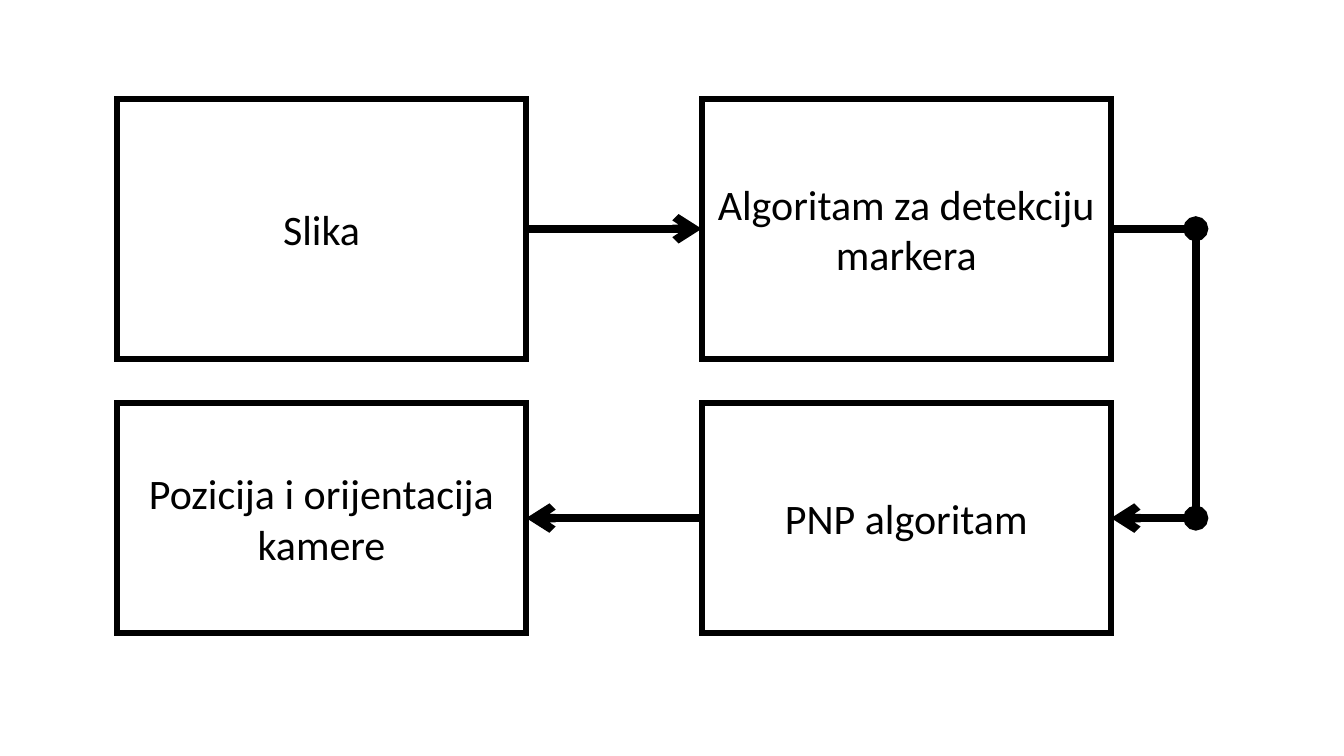
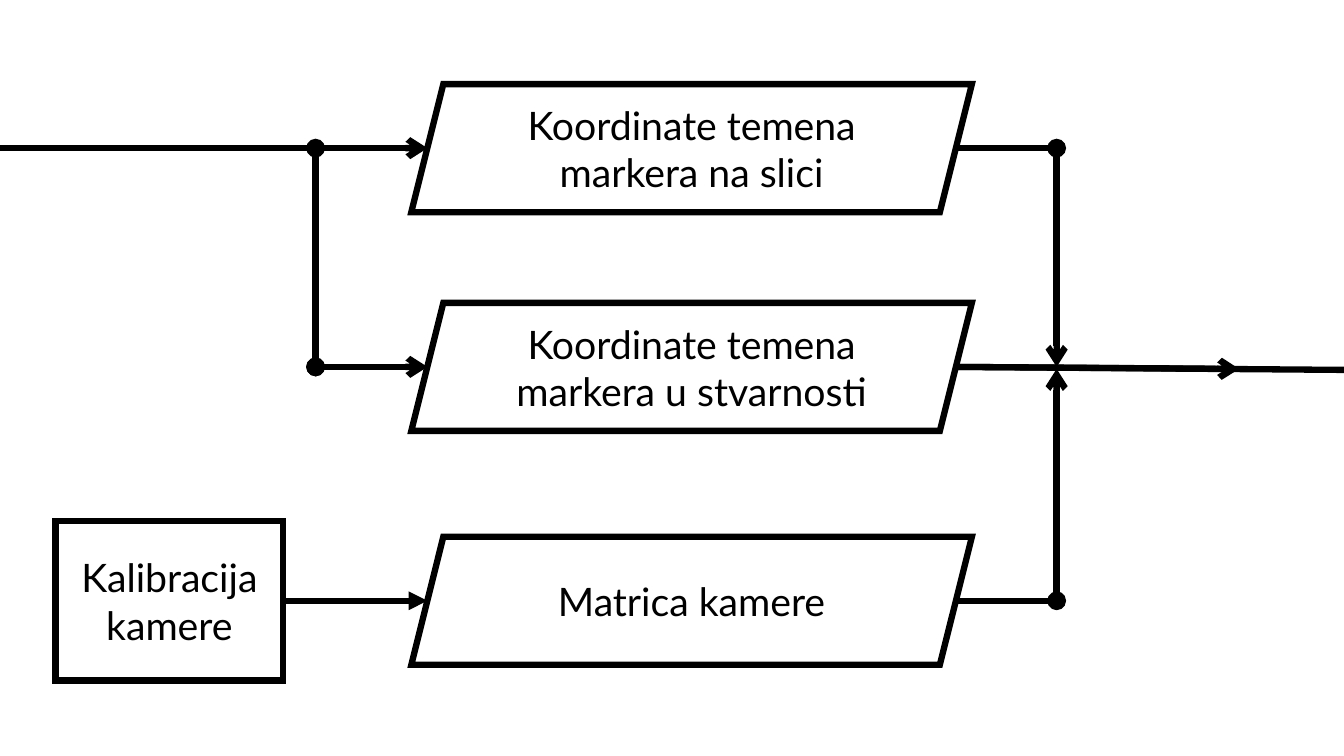
from dataclasses import dataclass

from pptx import Presentation
from pptx.dml.color import RGBColor
from pptx.enum.shapes import MSO_CONNECTOR, MSO_SHAPE
from pptx.enum.text import MSO_ANCHOR, PP_ALIGN
from pptx.oxml.ns import qn
from pptx.util import Inches, Pt
from lxml import etree

RECTANGLE = MSO_SHAPE.RECTANGLE
PARALLELOGRAM = MSO_SHAPE.PARALLELOGRAM
STRAIGHT = MSO_CONNECTOR.STRAIGHT
MIDDLE = MSO_ANCHOR.MIDDLE
CENTER = PP_ALIGN.CENTER
LEFT_SIDE, RIGHT_SIDE = 1, 3
BLANK_LAYOUT = 6


@dataclass(frozen=True)
class Theme:
    ink: RGBColor = RGBColor(0, 0, 0)
    outline: float = 4.5
    overview_font: str = "Calibri"
    overview_size: int = 30
    overview_arrow: float = 6
    detail_font: str = "Lato"
    detail_size: int = 28
    detail_arrow: float = 4.5


THEME = Theme()
SLIDE_WIDTH, SLIDE_HEIGHT = 13.33, 7.5


def format_line(line, width):
    line.color.rgb = THEME.ink
    line.width = Pt(width)


def add_box(slide, kind, bounds, text, font_name, font_size):
    """Add an outlined, unfilled shape with centred text."""
    shape = slide.shapes.add_shape(kind, *map(Inches, bounds))
    shape.shadow.inherit = False
    shape.fill.background()
    format_line(shape.line, THEME.outline)
    outline = shape.line.fill._xPr
    etree.SubElement(outline, qn("a:miter"), lim="800000")

    frame = shape.text_frame
    frame.word_wrap = True
    frame.vertical_anchor = MIDDLE
    frame.text = text
    paragraph = frame.paragraphs[0]
    paragraph.alignment = CENTER
    font = paragraph.runs[0].font
    font.name = font_name
    font.size = Pt(font_size)
    font.color.rgb = THEME.ink
    return shape


def add_line(slide, start, end, width, head=None, tail=None):
    """Draw a line; each end is an (x, y) point or a (shape, side) joint."""
    joined = [not isinstance(place[0], (int, float)) for place in (start, end)]
    points = [(0, 0) if joint else place for joint, place in zip(joined, (start, end))]
    connector = slide.shapes.add_connector(
        STRAIGHT, *(Inches(value) for point in points for value in point))
    if joined[0]:
        connector.begin_connect(*start)
    if joined[1]:
        connector.end_connect(*end)

    format_line(connector.line, width)
    outline = connector.line.fill._xPr
    for tag, mark in (("a:headEnd", head), ("a:tailEnd", tail)):
        if mark:
            etree.SubElement(outline, qn(tag), type=mark)
    etree.SubElement(connector._element.spPr, qn("a:effectLst"))


def build_overview(slide):
    left, right, width = 1.16, 6.96, 4.06
    top_row, bottom_row = (0.98, 2.58), (4, 2.28)
    turn_x, top_y, bottom_y = 11.86, 2.27, 5.14

    # Processing steps
    def step(x, row, text):
        y, height = row
        return add_box(slide, RECTANGLE, (x, y, width, height), text,
                       THEME.overview_font, THEME.overview_size)

    image = step(left, top_row, "Slika")
    detection = step(right, top_row, "Algoritam za detekciju markera")
    pose = step(left, bottom_row, "Pozicija i orijentacija kamere")
    solver = step(right, bottom_row, "PNP algoritam")

    # Flow between the steps
    for start, end, head, tail in (
        ((image, RIGHT_SIDE), (detection, LEFT_SIDE), None, "arrow"),
        ((detection, RIGHT_SIDE), (turn_x, top_y), None, None),
        ((turn_x, bottom_y), (turn_x, top_y), "oval", "oval"),
        ((turn_x, bottom_y), (solver, RIGHT_SIDE), None, "arrow"),
        ((solver, LEFT_SIDE), (pose, RIGHT_SIDE), None, "arrow"),
    ):
        add_line(slide, start, end, THEME.overview_arrow, head, tail)


def build_detail(slide):
    left, width, height = 4.08, 5.56, 1.27
    image_y, world_y, matrix_y = 1.47, 3.64, 5.96
    input_x, output_x = 4.24, 9.48
    branch_x, merge_x, merge_y = 3.13, 10.48, 3.66
    arrow_x, exit_y = 12.29, 3.67

    # Data blocks, centred on their rows
    for y, text in (
        (image_y, "Koordinate temena markera na slici"),
        (world_y, "Koordinate temena markera u stvarnosti"),
        (matrix_y, "Matrica kamere"),
    ):
        add_box(slide, PARALLELOGRAM, (left, y - height / 2, width, height),
                text, THEME.detail_font, THEME.detail_size)
    calibration = add_box(slide, RECTANGLE, (0.55, 5.17, 2.26, 1.58),
                          "Kalibracija kamere",
                          THEME.detail_font, THEME.detail_size)

    # Inputs on the left, then the merge on the right
    for start, end, head, tail in (
        ((0, image_y), (input_x, image_y), None, "arrow"),
        ((branch_x, world_y), (input_x, world_y), "oval", "arrow"),
        ((branch_x, world_y), (branch_x, image_y), "oval", "oval"),
        ((calibration, RIGHT_SIDE), (input_x, matrix_y), None, "triangle"),
        ((output_x, image_y), (merge_x, image_y), None, None),
        ((merge_x, image_y), (merge_x, world_y), "oval", "arrow"),
        ((output_x, matrix_y), (merge_x, matrix_y), None, None),
        ((merge_x, matrix_y), (merge_x, merge_y), "oval", "arrow"),
        ((output_x, world_y), (arrow_x, merge_y), None, "arrow"),
        ((output_x, world_y), (SLIDE_WIDTH, exit_y), None, None),
    ):
        add_line(slide, start, end, THEME.detail_arrow, head, tail)


def main():
    presentation = Presentation()
    presentation.slide_width = Inches(SLIDE_WIDTH)
    presentation.slide_height = Inches(SLIDE_HEIGHT)
    layout = presentation.slide_layouts[BLANK_LAYOUT]
    for build in (build_overview, build_detail):
        build(presentation.slides.add_slide(layout))
    presentation.save("out.pptx")


if __name__ == "__main__":
    main()
